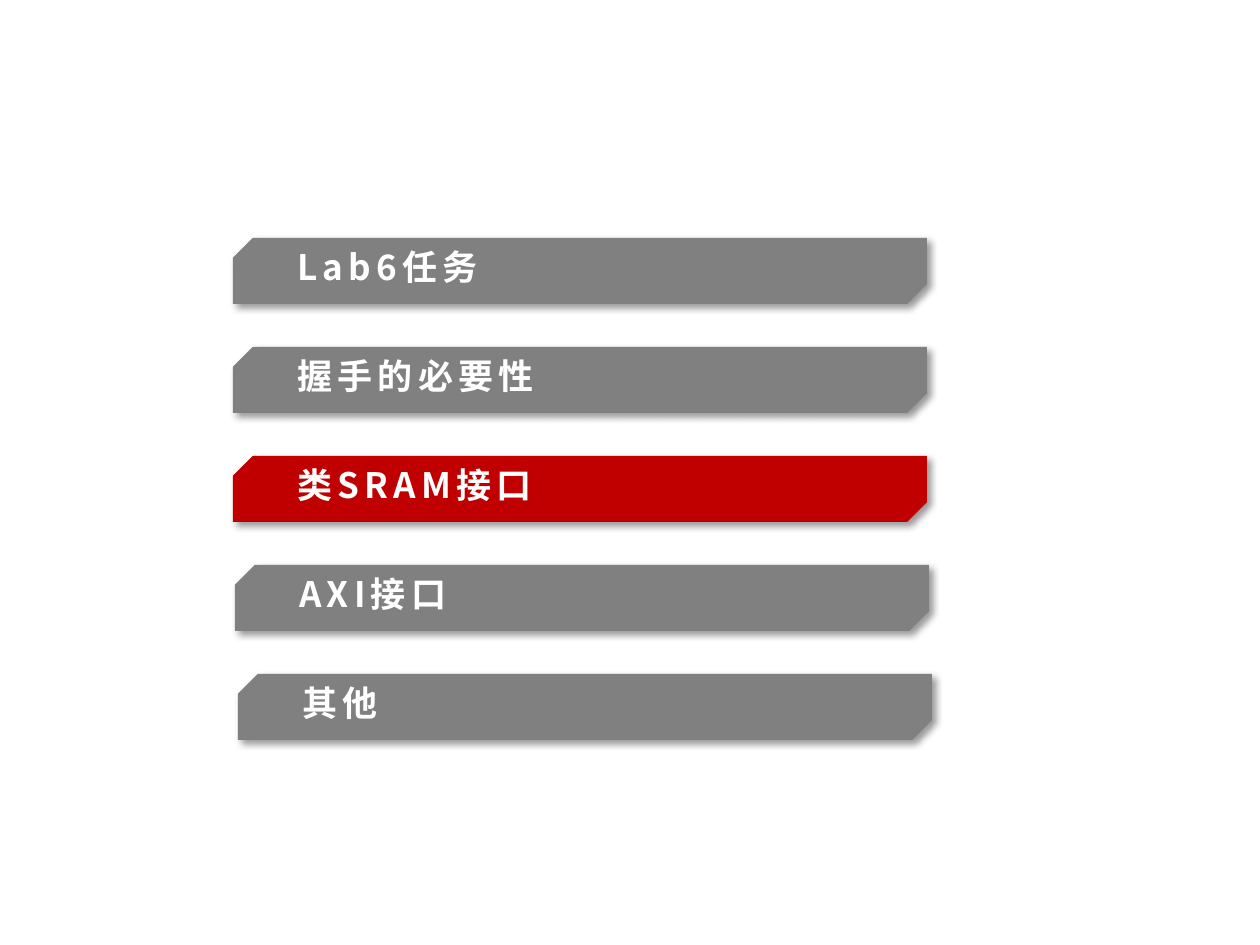
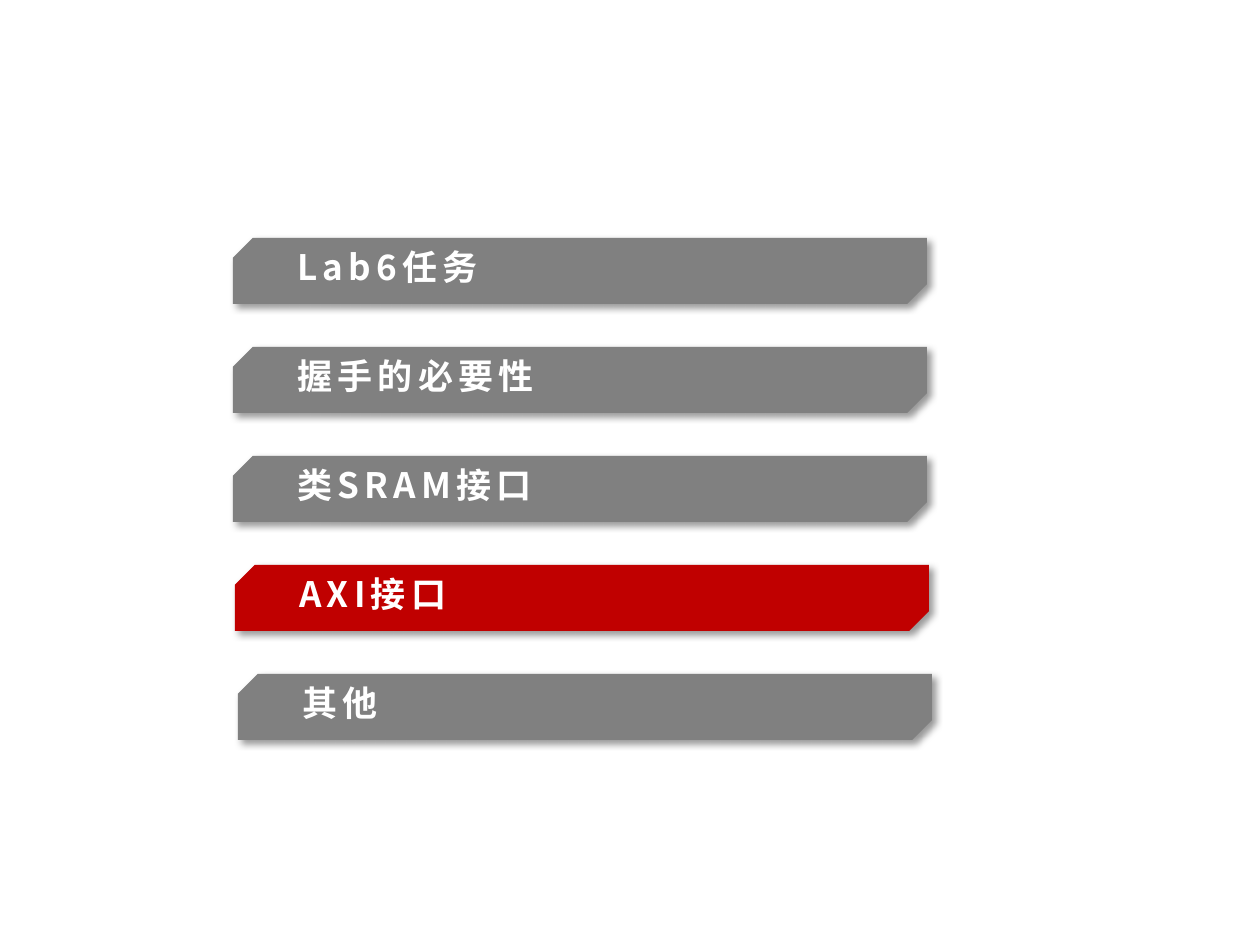
import dataclasses

import lxml.etree
import pptx
import pptx.dml.color
import pptx.enum.shapes
import pptx.enum.text
import pptx.oxml.ns
import pptx.slide
import pptx.util

# Scale and shared style
PX_PER_INCH = 126
FONT = "Noto Sans CJK SC"
GRAY = pptx.dml.color.RGBColor(0x80, 0x80, 0x80)
RED = pptx.dml.color.RGBColor(0xC0, 0x00, 0x00)
WHITE = pptx.dml.color.RGBColor(0xFF, 0xFF, 0xFF)
BLACK = pptx.dml.color.RGBColor(0x00, 0x00, 0x00)

# Agenda layout in px
FIRST_TOP = 238
PITCH = 109
BAR_WIDTH = 694
BAR_HEIGHT = 66
TEXT_INDENT = 42


@dataclasses.dataclass(frozen=True)
class Topic:
    title: str
    left: int


TOPICS = (
    Topic("Lab6任务", 233),
    Topic("握手的必要性", 233),
    Topic("类SRAM接口", 233),
    Topic("AXI接口", 235),
    Topic("其他", 238),
)
CURRENT_TOPICS = ("类SRAM接口", "AXI接口")


def px(length: int) -> pptx.util.Emu:
    return pptx.util.Emu(round(pptx.util.Inches(length / PX_PER_INCH)))


def add_child(parent: lxml.etree.ElementBase, tag: str, **attributes: object) -> lxml.etree.ElementBase:
    child = lxml.etree.SubElement(parent, pptx.oxml.ns.qn(tag))
    for key, setting in attributes.items():
        child.set(key, str(setting))
    return child


def add_shadow(bar) -> None:
    """Soft shadow falling to the lower right."""
    bar.shadow.inherit = False
    effects = bar.element.spPr.find(pptx.oxml.ns.qn("a:effectLst"))
    shadow = add_child(effects, "a:outerShdw", blurRad=pptx.util.Pt(4), dist=pptx.util.Pt(3),
                       dir=45 * 60000, algn="tl", rotWithShape=0)
    color = add_child(shadow, "a:srgbClr", val=BLACK)
    add_child(color, "a:alpha", val=40000)


def add_topic_title(bar, title: str) -> None:
    frame = bar.text_frame
    frame.word_wrap = True
    frame.auto_size = pptx.enum.text.MSO_AUTO_SIZE.SHAPE_TO_FIT_TEXT
    frame.vertical_anchor = pptx.enum.text.MSO_ANCHOR.MIDDLE
    line = frame.paragraphs[0]
    line.alignment = pptx.enum.text.PP_ALIGN.LEFT
    line.line_spacing = pptx.util.Pt(18.8)
    properties = line._p.get_or_add_pPr()
    properties.set("marL", "0")
    properties.set("indent", str(px(TEXT_INDENT)))
    run = line.add_run()
    run.text = title
    run.font.size = pptx.util.Pt(20)
    run.font.bold = True
    run.font.name = FONT
    run.font.color.rgb = WHITE
    # Letter spacing and the East Asian typeface
    run_properties = run._r.get_or_add_rPr()
    run_properties.set("spc", "300")
    add_child(run_properties, "a:ea", typeface=FONT)


def add_topic_bar(slide: pptx.slide.Slide, topic: Topic, top: int, is_current: bool) -> None:
    bar = slide.shapes.add_shape(pptx.enum.shapes.MSO_SHAPE.SNIP_2_DIAG_RECTANGLE,
                                 px(topic.left), px(top), px(BAR_WIDTH), px(BAR_HEIGHT))
    bar.adjustments[0] = 0.3
    bar.adjustments[1] = 0
    bar.fill.solid()
    bar.fill.fore_color.rgb = RED if is_current else GRAY
    bar.line.fill.background()
    add_shadow(bar)
    add_topic_title(bar, topic.title)


def add_agenda(deck, current: str) -> None:
    slide = deck.slides.add_slide(deck.slide_layouts[6])
    for row, topic in enumerate(TOPICS):
        add_topic_bar(slide, topic, FIRST_TOP + row * PITCH, topic.title == current)


def main() -> None:
    deck = pptx.Presentation()
    deck.slide_width = px(1260)
    deck.slide_height = px(945)
    # One agenda slide for each topic being opened
    for current in CURRENT_TOPICS:
        add_agenda(deck, current)
    deck.save("out.pptx")


if __name__ == "__main__":
    main()
